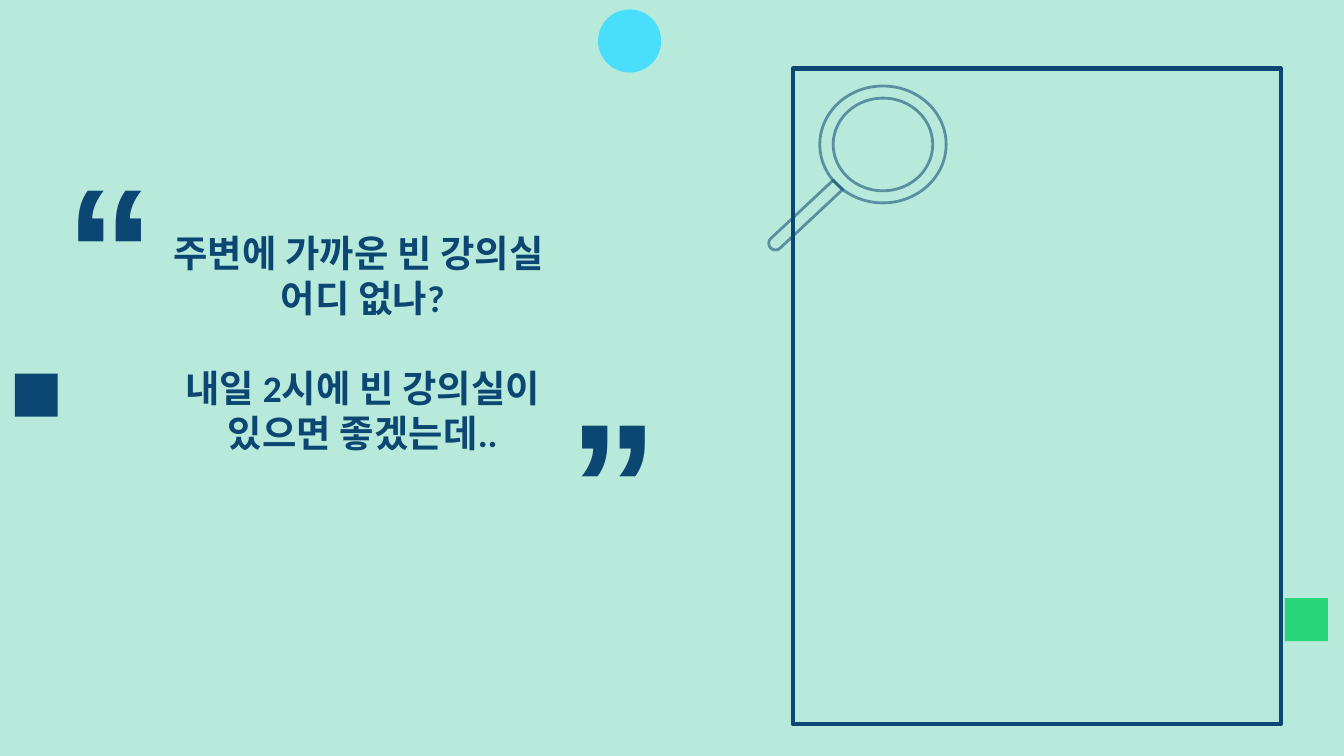
from dataclasses import dataclass
from math import cos, pi, sin

from lxml import etree
from pptx import Presentation, util as u
from pptx.dml.color import RGBColor
from pptx.enum import shapes as sh, text as tx
from pptx.oxml.ns import qn


@dataclass
class Theme:
    """Colours, fonts and type sizes."""
    back: str = "B7EADB"
    navy: str = "0C4672"
    sky: str = "49DEFC"
    green: str = "28D679"
    font: str = "Calibri"
    sign: str = "Arial"
    body: int = 20
    mark: int = 96


class Deck:
    def __init__(self, theme):
        self.theme = theme
        self.prs = Presentation()
        self.prs.slide_width = u.Inches(10)
        self.prs.slide_height = u.Inches(10 * 9 / 16)
        self.slide = self.prs.slides.add_slide(self.prs.slide_layouts[5])
        fill = self.slide.background.fill
        fill.solid()
        fill.fore_color.rgb = RGBColor.from_string(theme.back)

    def block(self, kind, box, color):
        """Filled shape without a line."""
        item = self.slide.shapes.add_shape(kind, *map(u.Inches, box))
        item.shadow.inherit = False
        item.fill.solid()
        item.fill.fore_color.rgb = RGBColor.from_string(color)
        item.line.fill.background()

    def stroke(self, item, width, alpha=None):
        """Hollow shape with a navy line, see-through if alpha is given."""
        item.shadow.inherit = False
        item.fill.background()
        item.line.width = u.Pt(width)
        item.line.color.rgb = RGBColor.from_string(self.theme.navy)
        if alpha:
            tint = item.line._ln.find(".//" + qn("a:srgbClr"))
            etree.SubElement(tint, qn("a:alpha"), val=str(alpha * 1000))

    def frame(self, kind, box, width, alpha=None):
        item = self.slide.shapes.add_shape(kind, *map(u.Inches, box))
        self.stroke(item, width, alpha)

    def outline(self, points, width, alpha):
        """Closed outline through points in inches."""
        spots = [(u.Inches(x), u.Inches(y)) for x, y in points]
        path = self.slide.shapes.build_freeform(*spots[0])
        path.add_line_segments(spots[1:])
        self.stroke(path.convert_to_shape(), width, alpha)

    def run(self, para, words, font, size):
        para.alignment = tx.PP_ALIGN.CENTER
        run = para.add_run()
        run.text = words
        run.font.name = font
        run.font.size = u.Pt(size)
        run.font.bold = True
        run.font.color.rgb = RGBColor.from_string(self.theme.navy)
        return run

    def title(self, box, lines):
        """Title lines, each with its space before in points."""
        item = self.slide.shapes.title
        item.left, item.top, item.width, item.height = map(u.Inches, box)
        body = item.text_frame
        body.auto_size = tx.MSO_AUTO_SIZE.NONE
        body.vertical_anchor = tx.MSO_ANCHOR.MIDDLE
        body.margin_left = body.margin_right = u.Inches(0.1)
        body.margin_top = body.margin_bottom = u.Inches(0.1)
        for i, (words, gap) in enumerate(lines):
            para = body.add_paragraph() if i else body.paragraphs[0]
            para.space_before = u.Pt(gap)
            run = self.run(para, words, self.theme.font, self.theme.body)
            # Same typeface for the Korean letters
            etree.SubElement(run.font._element, qn("a:ea"),
                             typeface=self.theme.font)

    def quote(self, box, turn=0):
        """Large quotation mark."""
        item = self.slide.shapes.add_textbox(*map(u.Inches, box))
        item.rotation = turn
        body = item.text_frame
        body.word_wrap = False
        body.auto_size = tx.MSO_AUTO_SIZE.SHAPE_TO_FIT_TEXT
        self.run(body.paragraphs[0], "“", self.theme.sign, self.theme.mark)


def main():
    theme = Theme()
    deck = Deck(theme)
    rect, oval = sh.MSO_SHAPE.RECTANGLE, sh.MSO_SHAPE.OVAL

    # Accents
    deck.block(rect, (9.56, 4.45, 0.32, 0.32), theme.green)
    deck.block(oval, (4.45, 0.07, 0.47, 0.47), theme.sky)
    deck.block(rect, (0.11, 2.78, 0.32, 0.32), theme.navy)

    # Panel
    deck.frame(rect, (5.9, 0.51, 3.63, 4.88), 2.25)

    # Thoughts
    deck.title((0.93, 1.61, 3.54, 1.88), [
        ("주변에 가까운 빈 강의실 ", 0),
        ("어디 없나?", 0),
        ("내일 2시에 빈 강의실이 있으면 좋겠는데..", 24),
    ])

    # Magnifier: rim, glass and a handle with a round end
    for box in ((6.1, 0.64, 0.94, 0.87), (6.2, 0.73, 0.74, 0.69)):
        deck.frame(oval, box, 1.5, 55)
    steps = 12
    turns = [pi * (0.26 + i / steps) for i in range(steps + 1)]
    cap = [(5.77 + 0.05 * cos(a), 1.81 + 0.05 * sin(a)) for a in turns]
    deck.outline([(6.2, 1.34), (6.27, 1.41)] + cap, 1.5, 55)

    # Quotation marks
    deck.quote((0.38, 0.96, 0.88, 1.72))
    deck.quote((4.13, 2.29, 0.88, 1.72), 180)

    deck.prs.save("out.pptx")


if __name__ == "__main__":
    main()
